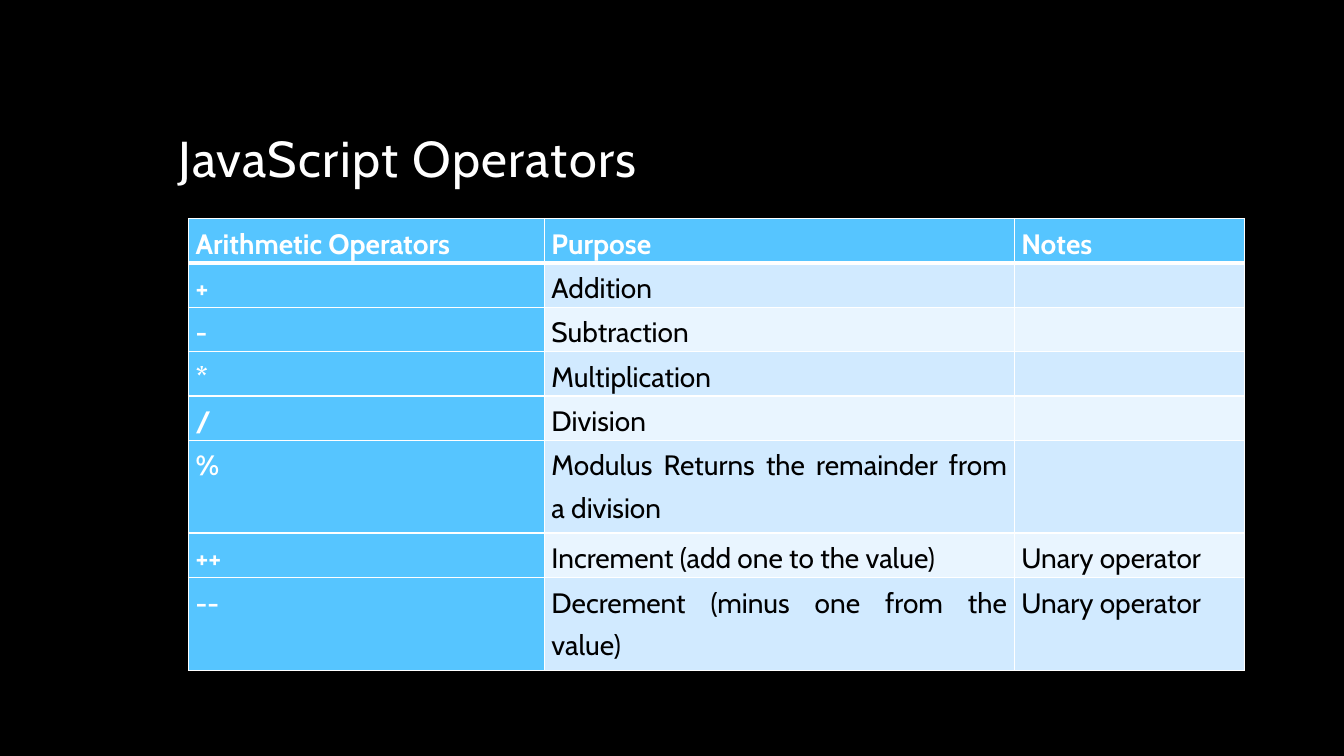
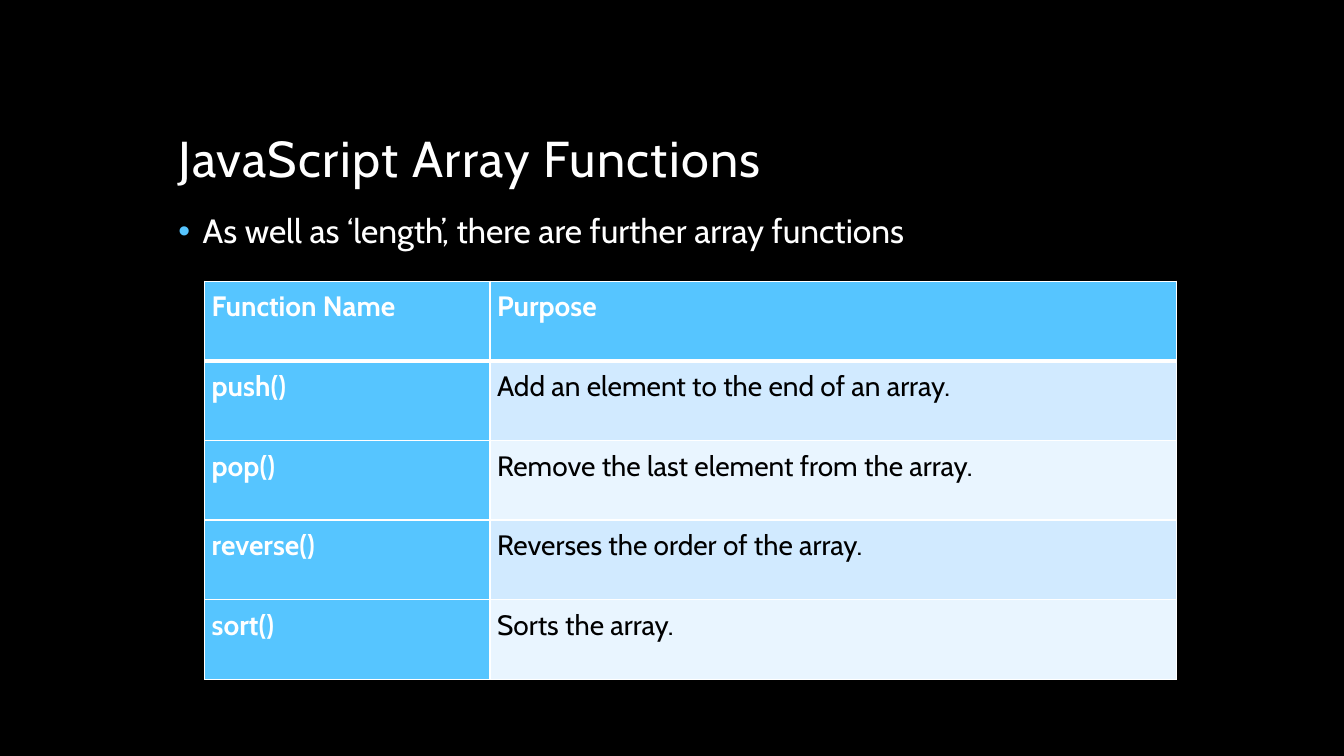
"""Build two dark slides with tables of JavaScript operators and array functions."""
import pptx
import pptx.dml.color
import pptx.enum.text
import pptx.oxml
import pptx.oxml.ns
import pptx.util

Inches = pptx.util.Inches
Pt = pptx.util.Pt
Anchor = pptx.enum.text.MSO_ANCHOR
Align = pptx.enum.text.PP_ALIGN
NS = pptx.oxml.ns.nsdecls("a")

FONT = "Cabin"
BLACK, WHITE, BLUE = "000000", "FFFFFF", "56C5FF"
BANDS = ["D1EAFF", "E9F5FF"]


def color(code):
    return pptx.dml.color.RGBColor.from_string(code)


def write(para, text, size, code, bold=False):
    run = para.add_run()
    run.text = text
    run.font.name = FONT
    run.font.size = Pt(size)
    run.font.bold = bold
    run.font.color.rgb = color(code)
    return run


pages = [
    {
        "title": "JavaScript Operators",
        "bullet": None,
        "at": (1.87, 2.17),
        "cols": [3.53, 4.66, 2.28],
        "rows": [0.44] * 5 + [0.92, 0.44, 0.92],
        "cells": [
            ["Arithmetic Operators", "Purpose", "Notes"],
            ["+", "Addition", ""],
            ["-", "Subtraction", ""],
            ["*", "Multiplication", ""],
            ["/", "Division", ""],
            ["%", "Modulus Returns the remainder from a division", ""],
            ["++", "Increment (add one to the value)", "Unary operator"],
            ["--", "Decrement (minus one from the value)", "Unary operator"],
        ],
    },
    {
        "title": "JavaScript Array Functions",
        "bullet": "As well as ‘length’, there are further array functions",
        "at": (2.03, 2.79),
        "cols": [2.83, 6.81],
        "rows": [0.79] * 5,
        "cells": [
            ["Function Name", "Purpose"],
            ["push()", "Add an element to the end of an array."],
            ["pop()", "Remove the last element from the array."],
            ["reverse()", "Reverses the order of the array."],
            ["sort()", "Sorts the array."],
        ],
    },
]

deck = pptx.Presentation()
deck.slide_width = Inches(13.33)
deck.slide_height = Inches(7.5)
back = deck.slide_master.background.fill
back.solid()
back.fore_color.rgb = color(BLACK)

for page in pages:
    layout = "Title and Content" if page["bullet"] else "Title Only"
    slide = deck.slides.add_slide(deck.slide_layouts.get_by_name(layout))

    title = slide.shapes.title
    title.left, title.top = Inches(1.67), Inches(0.42)
    title.width, title.height = Inches(10), Inches(1.5)
    frame = title.text_frame
    frame.auto_size = pptx.enum.text.MSO_AUTO_SIZE.NONE
    frame.vertical_anchor = Anchor.BOTTOM
    para = frame.paragraphs[0]
    para.alignment = Align.LEFT
    para.line_spacing = 0.9
    run = write(para, page["title"], 36, WHITE)
    run.font._element.set("spc", "100")

    if page["bullet"]:
        body = slide.placeholders[1]
        body.left, body.top = Inches(1.67), Inches(2.08)
        body.width, body.height = Inches(10), Inches(4.5)
        frame = body.text_frame
        frame.auto_size = pptx.enum.text.MSO_AUTO_SIZE.NONE
        frame.vertical_anchor = Anchor.TOP
        para = frame.paragraphs[0]
        para.line_spacing = 0.9
        para.space_before = Pt(18)
        props = para._p.get_or_add_pPr()
        props.set("marL", str(Inches(0.24)))
        props.set("indent", str(Inches(-0.24)))
        for mark in (
            f'<a:buClr {NS}><a:srgbClr val="{BLUE}"/></a:buClr>',
            f'<a:buFont {NS} typeface="Arial"/>',
            f'<a:buChar {NS} char="•"/>',
        ):
            props.append(pptx.oxml.parse_xml(mark))
        write(para, page["bullet"], 24, WHITE)

    cols, rows = page["cols"], page["rows"]
    left, top = page["at"]
    table = slide.shapes.add_table(
        len(rows), len(cols), Inches(left), Inches(top),
        Inches(sum(cols)), Inches(sum(rows)),
    ).table
    for col, width in zip(table.columns, cols):
        col.width = Inches(width)
    for row, height in zip(table.rows, rows):
        row.height = Inches(height)

    for i, texts in enumerate(page["cells"]):
        for j, text in enumerate(texts):
            cell = table.cell(i, j)
            head = i == 0 or j == 0
            cell.margin_left = cell.margin_right = Inches(0.07)
            cell.margin_top = cell.margin_bottom = 0
            cell.fill.solid()
            cell.fill.fore_color.rgb = color(BLUE if head else BANDS[(i - 1) % 2])
            para = cell.text_frame.paragraphs[0]
            para.alignment = Align.JUSTIFY
            para.line_spacing = 1.25
            if text:
                write(para, text, 20, WHITE if head else BLACK, head)
            props = cell._tc.get_or_add_tcPr()
            for k, side in enumerate("LRTB"):
                thick = (i, side) in [(0, "B"), (1, "T")]
                edge = (
                    f'<a:ln{side} {NS} w="{Pt(3 if thick else 1)}"><a:solidFill>'
                    f'<a:srgbClr val="{WHITE}"/></a:solidFill></a:ln{side}>'
                )
                props.insert(k, pptx.oxml.parse_xml(edge))

deck.save("out.pptx")
